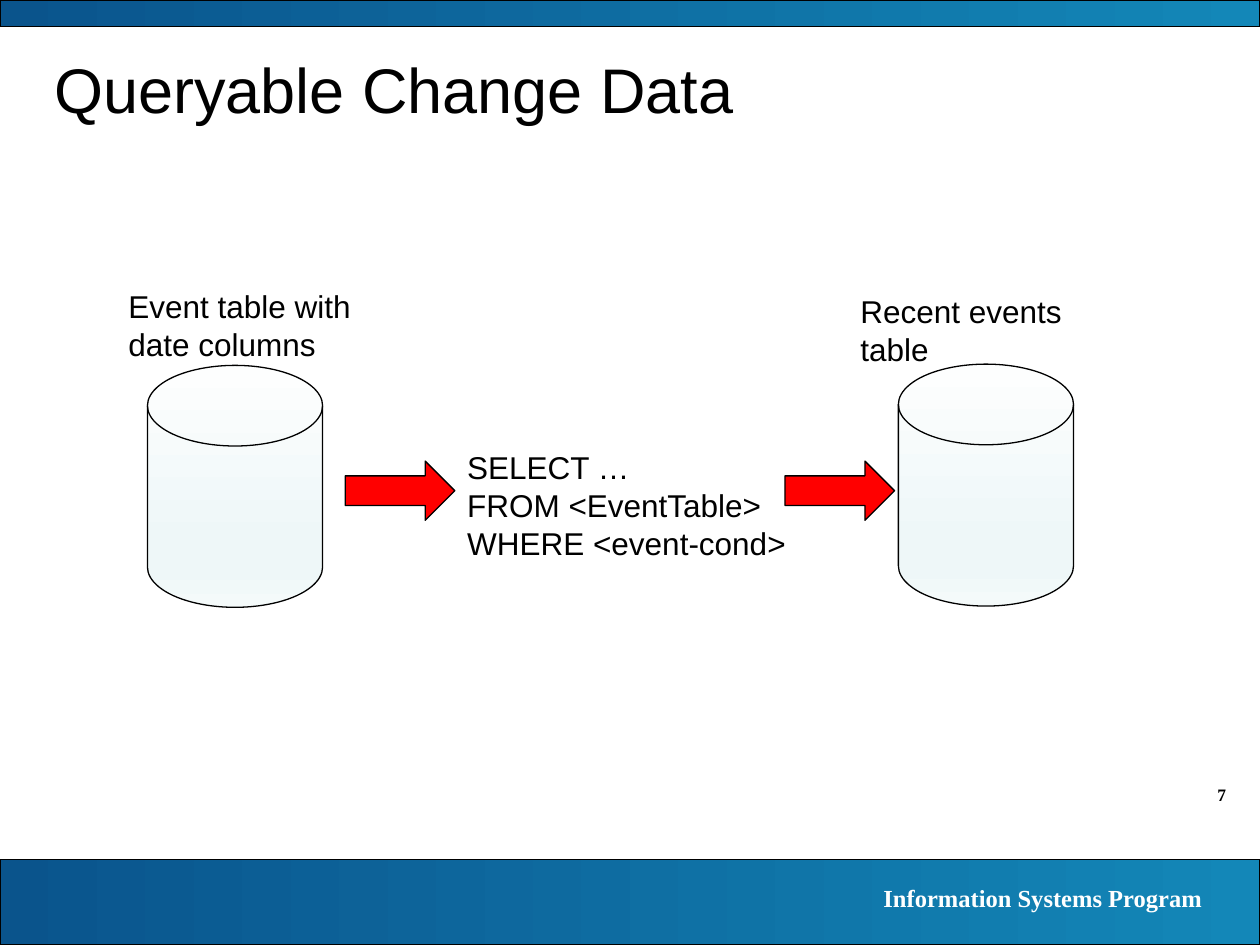
from copy import deepcopy

from pptx import Presentation
from pptx.dml.color import RGBColor
from pptx.enum import shapes, text
from pptx.util import Inches, Pt

BLACK = RGBColor(0x00, 0x00, 0x00)
WHITE = RGBColor(0xFF, 0xFF, 0xFF)
RED = RGBColor(0xFF, 0x00, 0x00)
DEEP_BLUE = RGBColor(0x0A, 0x54, 0x8C)
BRIGHT_BLUE = RGBColor(0x13, 0x87, 0xB8)
ICE_TOP = RGBColor(0xFD, 0xFE, 0xFE)
ICE_MIDDLE = RGBColor(0xEE, 0xF7, 0xF8)
ICE_BOTTOM = RGBColor(0xF4, 0xFA, 0xFA)

BAND_STOPS = [(0, DEEP_BLUE), (1, BRIGHT_BLUE)]
DISK_STOPS = [(0, ICE_TOP), (0.74, ICE_MIDDLE), (0.83, ICE_MIDDLE), (1, ICE_BOTTOM)]


def fill_gradient(fill, stops, angle):
    """Fill with (position, colour) stops; angle runs counter-clockwise."""
    fill.gradient()
    fill.gradient_angle = angle
    # The default gradient has two stops; clone one for each extra stop
    stop_list = fill._fill._gradFill.gsLst
    for _ in stops[2:]:
        stop_list.append(deepcopy(stop_list[0]))
    for stop, (position, color) in zip(fill.gradient_stops, stops):
        stop.position = position
        stop.color.rgb = color


def add_outlined(page, kind, box, color=None, stops=None, angle=0):
    shape = page.shapes.add_shape(kind, *map(Inches, box))
    shape.shadow.inherit = False
    if stops:
        fill_gradient(shape.fill, stops, angle)
    else:
        shape.fill.solid()
        shape.fill.fore_color.rgb = color
    shape.line.color.rgb = BLACK
    shape.line.width = Pt(0.75)
    return shape


def write_text(frame, lines, size=18, font="Arial", color=BLACK, bold=False,
               align=text.PP_ALIGN.LEFT, anchor=text.MSO_ANCHOR.TOP):
    frame.word_wrap = True
    frame.vertical_anchor = anchor
    for index, line in enumerate(lines):
        para = frame.add_paragraph() if index else frame.paragraphs[0]
        para.alignment = align
        span = para.add_run()
        span.text = line
        span.font.name = font
        span.font.size = Pt(size)
        span.font.bold = bold
        span.font.color.rgb = color


def add_label(page, box, *lines, **style):
    label = page.shapes.add_textbox(*map(Inches, box))
    write_text(label.text_frame, lines, **style)


def add_title(page, box, words):
    title = page.shapes.title
    title.left, title.top, title.width, title.height = map(Inches, box)
    write_text(title.text_frame, [words], size=36, anchor=text.MSO_ANCHOR.MIDDLE)


def add_bands(page, header, footer):
    """Header and footer bands, with the program name and the page number."""
    for band in (footer, header):
        add_outlined(page, shapes.MSO_SHAPE.RECTANGLE, band, stops=BAND_STOPS)
    left, top, width, _ = footer
    right = left + width
    style = dict(font="Times New Roman", bold=True, align=text.PP_ALIGN.RIGHT)
    add_label(page, (right - 4.45, top + 0.14, 4.09, 0.34),
              "Information Systems Program", size=14, color=WHITE, **style)
    add_label(page, (right - 1, top - 0.65, 0.83, 0.27), "7", size=10, **style)


def add_database(page, box, caption, caption_box):
    add_outlined(page, shapes.MSO_SHAPE.FLOWCHART_MAGNETIC_DISK, box,
                 stops=DISK_STOPS, angle=270)
    add_label(page, caption_box, caption)


def add_query(page, box):
    """The query, with an arrow leading in and another leading out."""
    left, top, width, _ = box
    add_label(page, box, "SELECT …", "FROM <EventTable>", "WHERE <event-cond>")
    for arrow_left in (left - 0.87, left + width - 0.32):
        add_outlined(page, shapes.MSO_SHAPE.RIGHT_ARROW,
                     (arrow_left, top + 0.15, 0.87, 0.47), color=RED)


def main():
    deck = Presentation()
    deck.slide_width, deck.slide_height = Inches(10), Inches(7.5)
    page = deck.slides.add_slide(deck.slide_layouts.get_by_name("Title Only"))

    add_bands(page, header=(0, 0, 10, 0.21), footer=(0, 6.82, 10, 0.68))
    add_title(page, (0.33, 0.33, 9.17, 0.75), "Queryable Change Data")

    # Data flow: event table, query, recent events
    add_database(page, (1.17, 2.9, 1.39, 1.92),
                 "Event table with date columns", (0.92, 2.23, 2.31, 0.71))
    add_database(page, (7.13, 2.89, 1.39, 1.92),
                 "Recent events table", (6.73, 2.27, 2.31, 0.71))
    add_query(page, (3.61, 3.51, 2.94, 1.01))

    deck.save("out.pptx")


if __name__ == "__main__":
    main()
